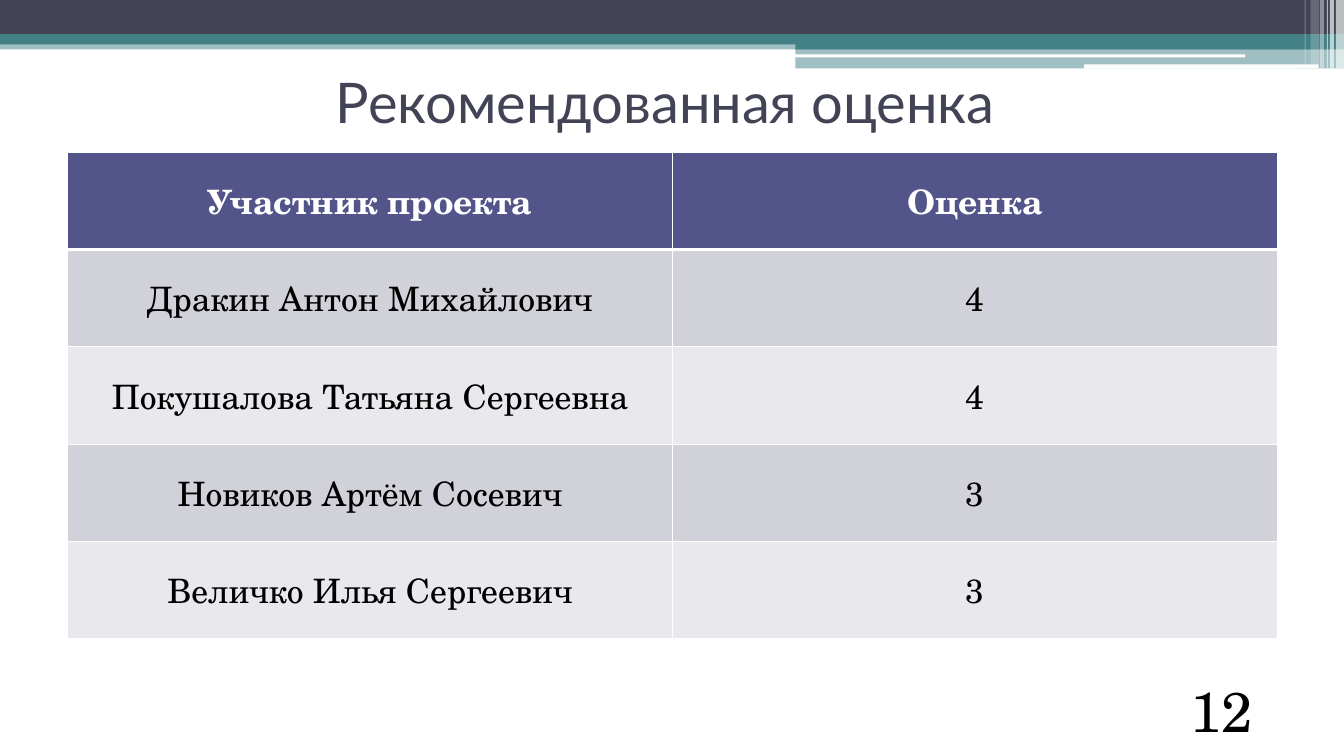
from lxml import etree
from pptx import Presentation
from pptx import util as u
from pptx.dml.color import RGBColor
from pptx.enum import shapes, text
from pptx.oxml.ns import qn

PX = 9144  # 100 px to the inch
COLORS = {
    "dark": "424456", "teal": "438086", "white": "FFFFFF", "black": "000000",
    "header": "53548A", "odd": "D1D1DA", "even": "E9E9ED",
}
BODY_FONT = "TeX Gyre Schola"


def add_solid_fill(parent, color, opacity=100):
    """Append a solid fill, optionally transparent, to an XML element."""
    fill = etree.SubElement(parent, qn("a:solidFill"))
    tone = etree.SubElement(fill, qn("a:srgbClr"), val=COLORS[color])
    if opacity < 100:
        etree.SubElement(tone, qn("a:alpha"), val=str(opacity * 1000))


def format_para(para, size, font, color, bold=False):
    para.alignment = text.PP_ALIGN.CENTER
    para.font.size = u.Pt(size)
    para.font.name = font
    para.font.bold = bold
    para.font.color.rgb = RGBColor.from_string(COLORS[color])


deck = Presentation()
deck.slide_width, deck.slide_height = 1333 * PX, 750 * PX
page = deck.slides.add_slide(deck.slide_layouts[5])

# Header bands: left, top, width, height, color, opacity, rounded
bands = [
    (0, 40, 1333, 9, "teal", 50, False),
    (0, 0, 1333, 34, "dark", 100, False),
    (0, 34, 1333, 10, "teal", 100, False),
    (789, 39, 544, 10, "teal", 100, False),
    (789, 48, 544, 20, "teal", 50, False),
    (788, 54, 447, 3, "white", 100, True),
    (1075, 64, 233, 4, "white", 100, True),
]
# Vertical stripes in the corner: left, width, height, opacity
stripes = [
    (1325, 8, 68, 65), (1319, 4, 68, 65), (1316, 1, 68, 60),
    (1309, 4, 68, 40), (1300, 8, 64, 20), (1294, 1, 64, 30),
]
bands += [(left, 0, width, height, "white", opacity, False)
          for left, width, height, opacity in stripes]

for left, top, width, height, color, opacity, rounded in bands:
    kind = shapes.MSO_SHAPE.ROUNDED_RECTANGLE if rounded else shapes.MSO_SHAPE.RECTANGLE
    band = page.shapes.add_shape(kind, left * PX, top * PX, width * PX, height * PX)
    band.shadow.inherit = False
    band.fill.solid()
    band.fill.fore_color.rgb = RGBColor.from_string(COLORS[color])
    band.line.fill.background()
    if opacity < 100:
        tone = band.fill._xPr.find(qn("a:solidFill"))[0]
        etree.SubElement(tone, qn("a:alpha"), val=str(opacity * 1000))

title = page.shapes.title
title.left, title.top, title.width, title.height = 67 * PX, 42 * PX, 1200 * PX, 117 * PX
title.text_frame.text = "Рекомендованная оценка "
title.text_frame.auto_size = text.MSO_AUTO_SIZE.NONE
title.text_frame.vertical_anchor = text.MSO_ANCHOR.MIDDLE
format_para(title.text_frame.paragraphs[0], 40, "Lato", "dark")
# The title lies above the bands
page.shapes._spTree.append(title._element)

number = page.shapes.add_textbox(1156 * PX, 703 * PX, 111 * PX, 40 * PX)
number.text_frame.text = "12"
number.text_frame.word_wrap = True
number.text_frame.vertical_anchor = text.MSO_ANCHOR.BOTTOM
format_para(number.text_frame.paragraphs[0], 40, BODY_FONT, "black")

grades = [
    ("Участник проекта", "Оценка"),
    ("Дракин Антон Михайлович", "4"),
    ("Покушалова Татьяна Сергеевна", "4"),
    ("Новиков Артём Сосевич", "3"),
    ("Величко Илья Сергеевич", "3"),
]
table = page.shapes.add_table(len(grades), 2, 67 * PX, 151 * PX, 1200 * PX, 483 * PX).table
for row, values in enumerate(grades):
    is_header = row == 0
    fill = "header" if is_header else ("odd" if row % 2 else "even")
    for column, value in enumerate(values):
        cell = table.cell(row, column)
        cell.text = value
        cell.vertical_anchor = text.MSO_ANCHOR.MIDDLE
        format_para(cell.text_frame.paragraphs[0], 24, BODY_FONT,
                    "white" if is_header else "black", is_header)
        properties = cell._tc.get_or_add_tcPr()
        for side in ("lnL", "lnR", "lnT", "lnB"):
            thick = (is_header and side == "lnB") or (row == 1 and side == "lnT")
            border = etree.SubElement(properties, qn("a:" + side), w=str(u.Pt(3 if thick else 1)))
            add_solid_fill(border, "white")
        add_solid_fill(properties, fill)

deck.save("out.pptx")
